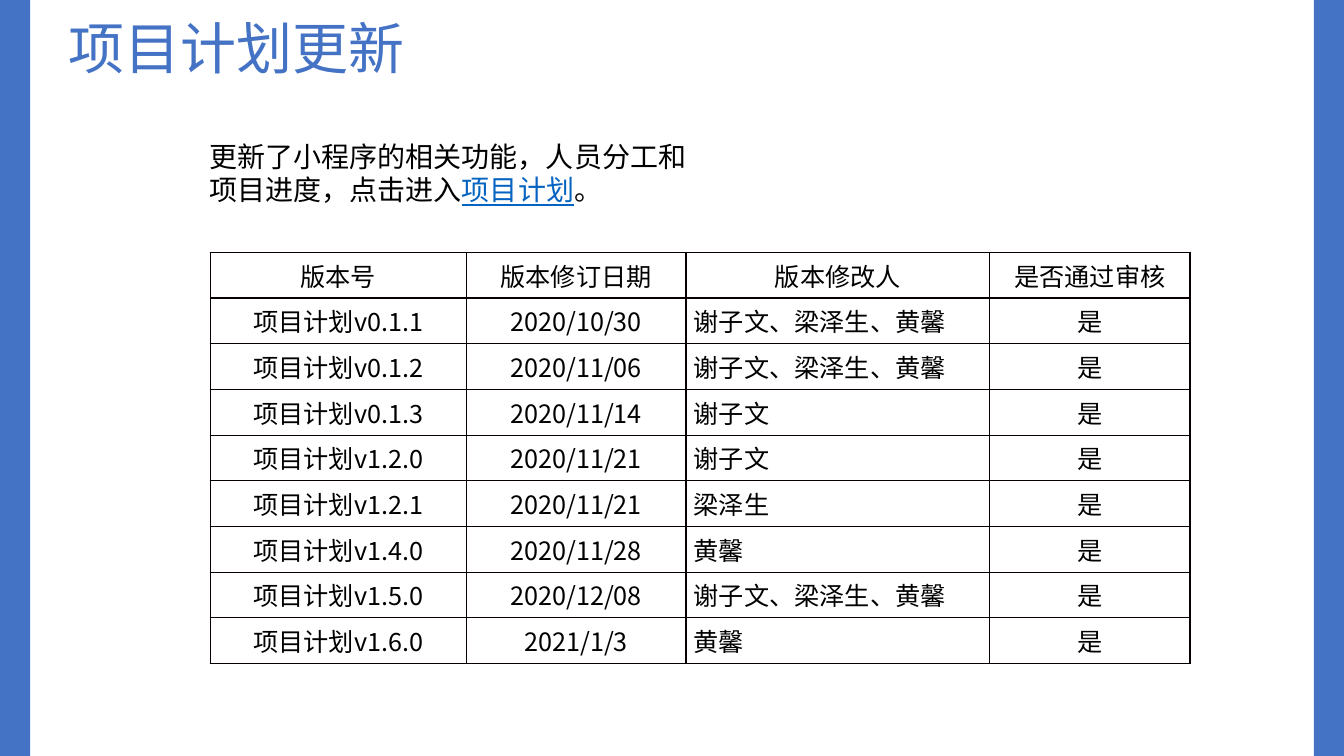
import pptx
import pptx.dml.color
import pptx.enum.shapes
import pptx.enum.text
import pptx.oxml
import pptx.oxml.ns
import pptx.util
import lxml.etree

Cm = pptx.util.Cm
Pt = pptx.util.Pt
RGB = pptx.dml.color.RGBColor
ALIGN = pptx.enum.text.PP_ALIGN
ANCHOR = pptx.enum.text.MSO_ANCHOR

BLUE = RGB(0x44, 0x72, 0xC4)
LINK = RGB(0x05, 0x63, 0xC1)
BLACK = RGB(0, 0, 0)
WHITE = RGB(255, 255, 255)
EDGE = RGB(0x08, 0, 0)
FONT = "Noto Sans CJK SC"

WIDE, HIGH = 33.87, 19.05
BAR = 0.76
COLS = [6.45, 5.54, 7.65, 5.05]
HEAD = ["版本号", "版本修订日期", "版本修改人", "是否通过审核"]
TEAM = "谢子文、梁泽生、黄馨"
PLANS = [
    ("v0.1.1", "2020/10/30", TEAM),
    ("v0.1.2", "2020/11/06", TEAM),
    ("v0.1.3", "2020/11/14", "谢子文"),
    ("v1.2.0", "2020/11/21", "谢子文"),
    ("v1.2.1", "2020/11/21", "梁泽生"),
    ("v1.4.0", "2020/11/28", "黄馨"),
    ("v1.5.0", "2020/12/08", TEAM),
    ("v1.6.0", "2021/1/3", "黄馨"),
]


def style(run, size, color):
    run.font.size = Pt(size)
    run.font.name = FONT
    run.font.color.rgb = color
    props = run.font._element
    east = lxml.etree.Element(pptx.oxml.ns.qn("a:ea"), typeface=FONT)
    props.find(pptx.oxml.ns.qn("a:latin")).addnext(east)


def bars(slide, wide, high):
    for left in (0, wide - BAR):
        bar = slide.shapes.add_shape(
            pptx.enum.shapes.MSO_SHAPE.RECTANGLE,
            Cm(left), Cm(0), Cm(BAR), Cm(high))
        bar.shadow.inherit = False
        bar.fill.solid()
        bar.fill.fore_color.rgb = BLUE
        bar.line.fill.background()


def title(slide, left, top, wide, high):
    head = slide.shapes.title
    head.left, head.top = Cm(left), Cm(top)
    head.width, head.height = Cm(wide), Cm(high)
    frame = head.text_frame
    frame.text = "项目计划更新"
    frame.word_wrap = False
    frame.auto_size = pptx.enum.text.MSO_AUTO_SIZE.NONE
    frame.vertical_anchor = ANCHOR.TOP
    para = frame.paragraphs[0]
    para.alignment = ALIGN.LEFT
    para.line_spacing = 0.89
    style(para.runs[0], 40, BLUE)


def intro(slide, left, top, wide, high):
    box = slide.shapes.add_textbox(Cm(left), Cm(top), Cm(wide), Cm(high))
    frame = box.text_frame
    frame.word_wrap = True
    para = frame.paragraphs[0]
    para.line_spacing = 1.0
    parts = [
        ("更新了小程序的相关功能，人员分工和项目进度，点击进入", BLACK),
        ("项目计划", LINK),
        ("。", BLACK),
    ]
    for text, color in parts:
        run = para.add_run()
        run.text = text
        style(run, 20, color)
        run.font.underline = color == LINK


def border(cell):
    props = cell._tc.get_or_add_tcPr()
    space = pptx.oxml.ns.nsdecls("a")
    for spot, side in enumerate(("lnL", "lnR", "lnT", "lnB")):
        props.insert(spot, pptx.oxml.parse_xml(
            f'<a:{side} {space} w="12700"><a:solidFill>'
            f'<a:srgbClr val="{EDGE}"/></a:solidFill></a:{side}>'))


def fill(cell, text, align):
    cell.text = text
    cell.fill.solid()
    cell.fill.fore_color.rgb = WHITE
    cell.vertical_anchor = ANCHOR.MIDDLE
    cell.margin_left = cell.margin_right = Cm(0.19)
    cell.margin_top = cell.margin_bottom = 0
    para = cell.text_frame.paragraphs[0]
    para.alignment = align
    style(para.runs[0], 18, BLACK)
    border(cell)


def grid(slide, left, top, wide, high):
    rows = [HEAD] + [(f"项目计划{mark}", date, who, "是")
                     for mark, date, who in PLANS]
    table = slide.shapes.add_table(
        len(rows), len(COLS), Cm(left), Cm(top), Cm(wide), Cm(high)).table
    for col, size in zip(table.columns, COLS):
        col.width = Cm(size)
    for y, row in enumerate(rows):
        table.rows[y].height = Cm(high / len(rows))
        for x, text in enumerate(row):
            names = y > 0 and x == 2
            fill(table.cell(y, x), text, ALIGN.LEFT if names else ALIGN.CENTER)


def main():
    deck = pptx.Presentation()
    deck.slide_width, deck.slide_height = Cm(WIDE), Cm(HIGH)
    slide = deck.slides.add_slide(deck.slide_layouts[5])
    bars(slide, WIDE, HIGH)
    title(slide, 1.47, 0.43, 10.19, 1.96)
    grid(slide, 5.3, 6.36, sum(COLS), 10.36)
    intro(slide, 5.03, 3.38, 12.85, 2.31)
    deck.save("out.pptx")


if __name__ == "__main__":
    main()
